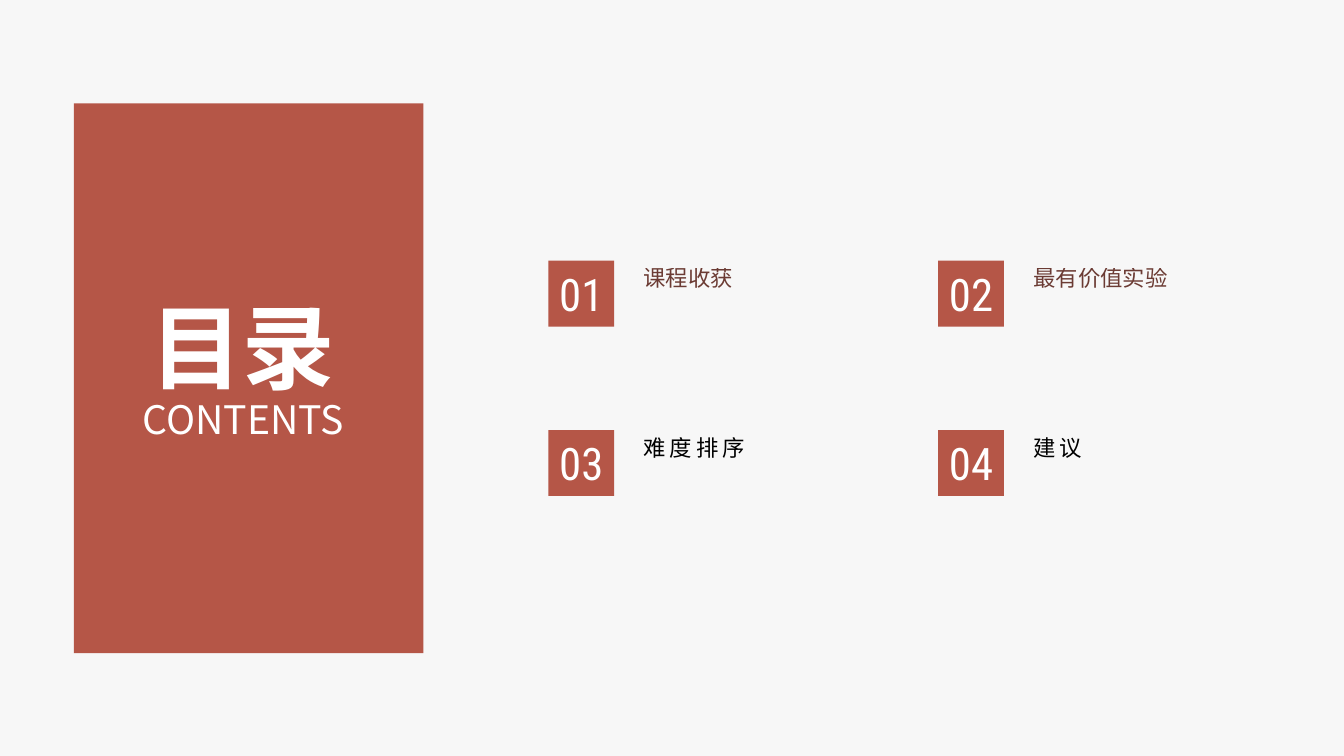
from lxml import etree
from pptx import Presentation
from pptx.dml.color import RGBColor
from pptx.enum.shapes import MSO_SHAPE
from pptx.enum.text import MSO_ANCHOR, MSO_AUTO_SIZE, PP_ALIGN
from pptx.oxml.ns import qn
from pptx.util import Inches, Pt

COLORS = {"page": "F7F7F7", "brick": "AA3A29", "maroon": "551D14",
          "black": "000000", "white": "FFFFFF"}
SANS, CONDENSED = "Noto Sans CJK SC", "Roboto Condensed"
OPACITY = 85  # percent

# text, size, bold, (left, top, width, height)
HEADINGS = [
    ("目录", 49.5, True, (1.12, 2.11, 1.45, 0.93)),
    ("CONTENTS", 21, False, (1.06, 2.89, 1.57, 0.45)),
]
# label, colour, opacity, letter spacing in points; read row by row
TOPICS = [
    ("课程收获", "maroon", OPACITY, 0),
    ("最有价值实验", "maroon", OPACITY, 0),
    ("难度排序", "black", 100, 2.2),
    ("建议", "black", 100, 2.2),
]
PAGE_WIDTH = 10
PAGE_HEIGHT = PAGE_WIDTH * 9 / 16
COLUMNS = 2
GRID_LEFT, GRID_TOP = 4.08, 1.94
COLUMN_STEP, ROW_STEP = 2.9, 1.26
BADGE = 0.49
LABEL_DX, LABEL_DY, LABEL_HEIGHT, LABEL_SIZE = 0.61, -0.02, 0.3, 12


def set_fill(fill, name, opacity=100):
    """Fill with a solid colour, see-through when opacity is below 100."""
    fill.solid()
    fill.fore_color.rgb = RGBColor.from_string(COLORS[name])
    if opacity < 100:
        for color in fill._xPr.iter(qn("a:srgbClr")):
            etree.SubElement(color, qn("a:alpha"), val=str(opacity * 1000))


def add_block(page, *place):
    block = page.shapes.add_shape(MSO_SHAPE.RECTANGLE, *map(Inches, place))
    block.shadow.inherit = False
    block.line.fill.background()
    set_fill(block.fill, "brick", OPACITY)
    return block


def write(frame, text, size, font, color="white", opacity=100, bold=False,
          spacing=0, align=PP_ALIGN.LEFT):
    frame.text = text
    para = frame.paragraphs[0]
    para.alignment = align
    span = para.runs[0]
    span.font.size, span.font.bold = Pt(size), bold
    set_fill(span.font.fill, color, opacity)
    span.font.name = font
    props = span.font._element
    etree.SubElement(props, qn("a:ea"), typeface=font)
    if spacing:
        props.set("spc", str(round(spacing * 100)))


def add_heading(page, text, size, bold, place):
    frame = page.shapes.add_textbox(*map(Inches, place)).text_frame
    frame.word_wrap = True
    frame.auto_size = MSO_AUTO_SIZE.SHAPE_TO_FIT_TEXT
    frame.margin_left = frame.margin_right = 0
    write(frame, text, size, SANS, bold=bold, align=PP_ALIGN.JUSTIFY)


def add_topic(page, index, label, color, opacity, spacing):
    row, column = divmod(index, COLUMNS)
    left = GRID_LEFT + column * COLUMN_STEP
    top = GRID_TOP + row * ROW_STEP

    frame = add_block(page, left, top, BADGE, BADGE).text_frame
    frame.margin_left = frame.margin_right = 0
    frame.margin_top = frame.margin_bottom = 0
    frame.vertical_anchor = MSO_ANCHOR.MIDDLE
    write(frame, f"{index + 1:02}", 24, CONDENSED, align=PP_ALIGN.CENTER)

    # full-width letters plus the two side margins
    width = len(label) * (LABEL_SIZE + spacing) / 72 + 0.2
    place = (left + LABEL_DX, top + LABEL_DY, width, LABEL_HEIGHT)
    frame = page.shapes.add_textbox(*map(Inches, place)).text_frame
    frame.word_wrap = False
    frame.auto_size = MSO_AUTO_SIZE.SHAPE_TO_FIT_TEXT
    write(frame, label, LABEL_SIZE, SANS, color, opacity, spacing=spacing)


def main():
    deck = Presentation()
    deck.slide_width, deck.slide_height = Inches(PAGE_WIDTH), Inches(PAGE_HEIGHT)
    page = deck.slides.add_slide(deck.slide_layouts[6])
    set_fill(page.background.fill, "page")

    add_block(page, 0.55, 0.77, 2.6, 4.09)
    for heading in HEADINGS:
        add_heading(page, *heading)
    for index, topic in enumerate(TOPICS):
        add_topic(page, index, *topic)
    deck.save("out.pptx")


if __name__ == "__main__":
    main()
